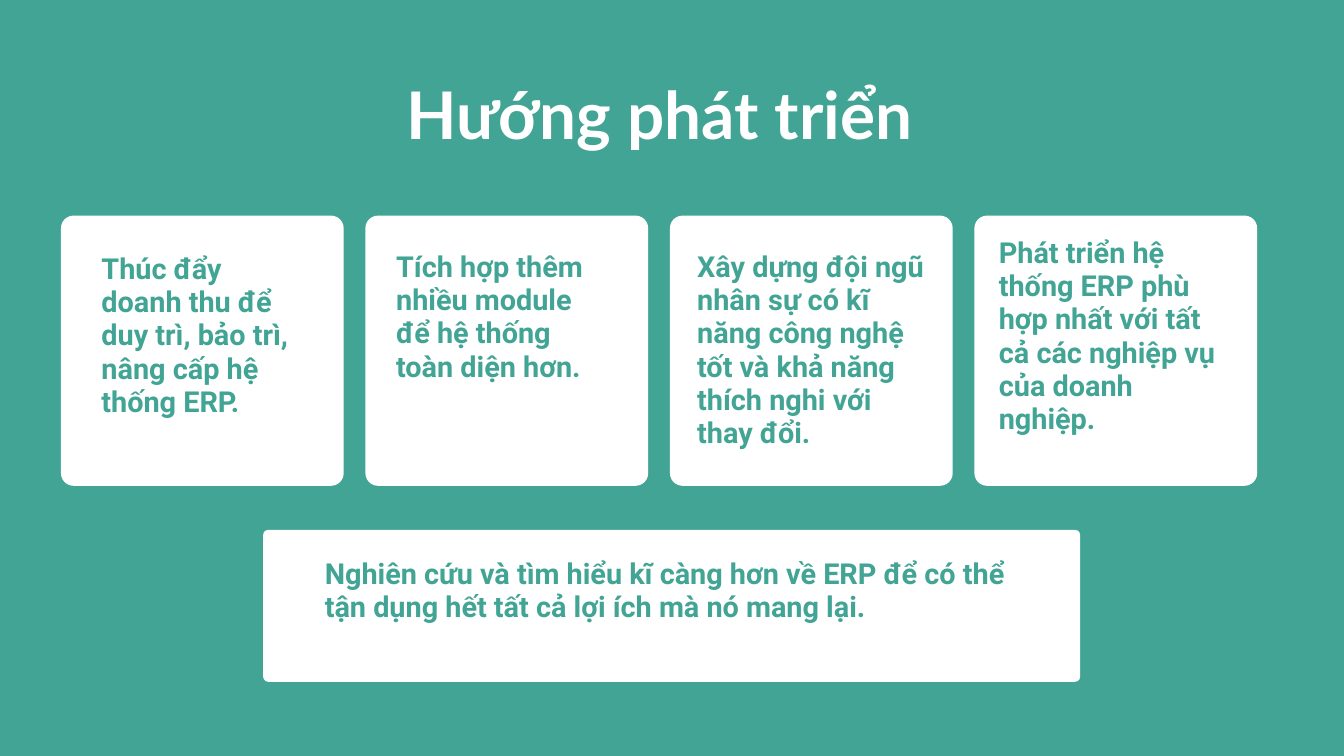
from pptx import Presentation
from pptx import util as u
from pptx.dml.color import RGBColor
from pptx.enum import shapes, text

PX = 9525
TEAL = RGBColor(0x42, 0xA4, 0x94)
WHITE = RGBColor(0xFF, 0xFF, 0xFF)

CARD_STEP = 435
CARDS = [
    ("Thúc đẩy doanh thu để duy trì, bảo trì, nâng cấp hệ thống ERP.",
     (58, 52, 290, 283)),
    ("Tích hợp thêm nhiều module để hệ thống toàn diện hơn.",
     (44, 49, 290, 283)),
    ("Xây dựng đội ngũ nhân sự có kĩ năng công nghệ tốt và khả năng thích nghi với thay đổi.",
     (39, 49, 324, 283)),
    ("Phát triển hệ thống ERP phù hợp nhất với tất cả các nghiệp vụ của doanh nghiệp.",
     (35, 29, 335, 330)),
]
BANNER = ("Nghiên cứu và tìm hiểu kĩ càng hơn về ERP để có thể tận dụng hết tất cả lợi ích mà nó mang lại.",
          (88, 39, 992, 142))


def emu(box):
    """Convert a sequence of px lengths to EMU."""
    return [u.Emu(length * PX) for length in box]


def write(shape, words, *, font="Roboto", size=30.9, spacing=35.6, color=TEAL,
          align=text.PP_ALIGN.LEFT):
    """Fill a shape with one formatted bold paragraph."""
    frame = shape.text_frame
    frame.word_wrap = True
    frame.auto_size = text.MSO_AUTO_SIZE.SHAPE_TO_FIT_TEXT
    frame.vertical_anchor = text.MSO_ANCHOR.TOP
    frame.margin_left = frame.margin_top = frame.margin_right = frame.margin_bottom = 0
    paragraph = frame.paragraphs[0]
    paragraph.alignment = align
    paragraph.line_spacing = u.Pt(spacing)
    run = paragraph.add_run()
    run.text = words
    run.font.name = font
    run.font.size = u.Pt(size)
    run.font.bold = True
    run.font.color.rgb = color


def add_title(slide, box, words):
    """Place the slide title in its placeholder."""
    title = slide.shapes.title
    title.left, title.top, title.width, title.height = emu(box)
    write(title, words, font="Lato", size=70.3, spacing=84.3, color=WHITE,
          align=text.PP_ALIGN.CENTER)


def add_panel(slide, box, radius, words, inner):
    """Draw a white rounded panel with text at an offset inside it."""
    left, top, width, height = box
    panel = slide.shapes.add_shape(shapes.MSO_SHAPE.ROUNDED_RECTANGLE, *emu(box))
    panel.adjustments[0] = radius / min(width, height)
    panel.shadow.inherit = False
    panel.fill.solid()
    panel.fill.fore_color.rgb = WHITE
    panel.line.fill.background()
    dx, dy, text_width, text_height = inner
    label = slide.shapes.add_textbox(*emu((left + dx, top + dy, text_width, text_height)))
    write(label, words)


def add_cards(slide, box):
    """Lay the cards out in a row of equal steps."""
    left, top, width, height = box
    for index, (words, inner) in enumerate(CARDS):
        add_panel(slide, (left + index * CARD_STEP, top, width, height), 18, words, inner)


def main():
    """Build and save the slide."""
    presentation = Presentation()
    presentation.slide_width, presentation.slide_height = emu((1920, 1080))
    slide = presentation.slides.add_slide(presentation.slide_layouts[5])
    slide.background.fill.solid()
    slide.background.fill.fore_color.rgb = TEAL
    add_title(slide, (513, 106, 858, 114), "Hướng phát triển")
    add_cards(slide, (87, 308, 404, 386))
    add_panel(slide, (376, 757, 1167, 217), 7, *BANNER)
    presentation.save("out.pptx")


if __name__ == "__main__":
    main()
